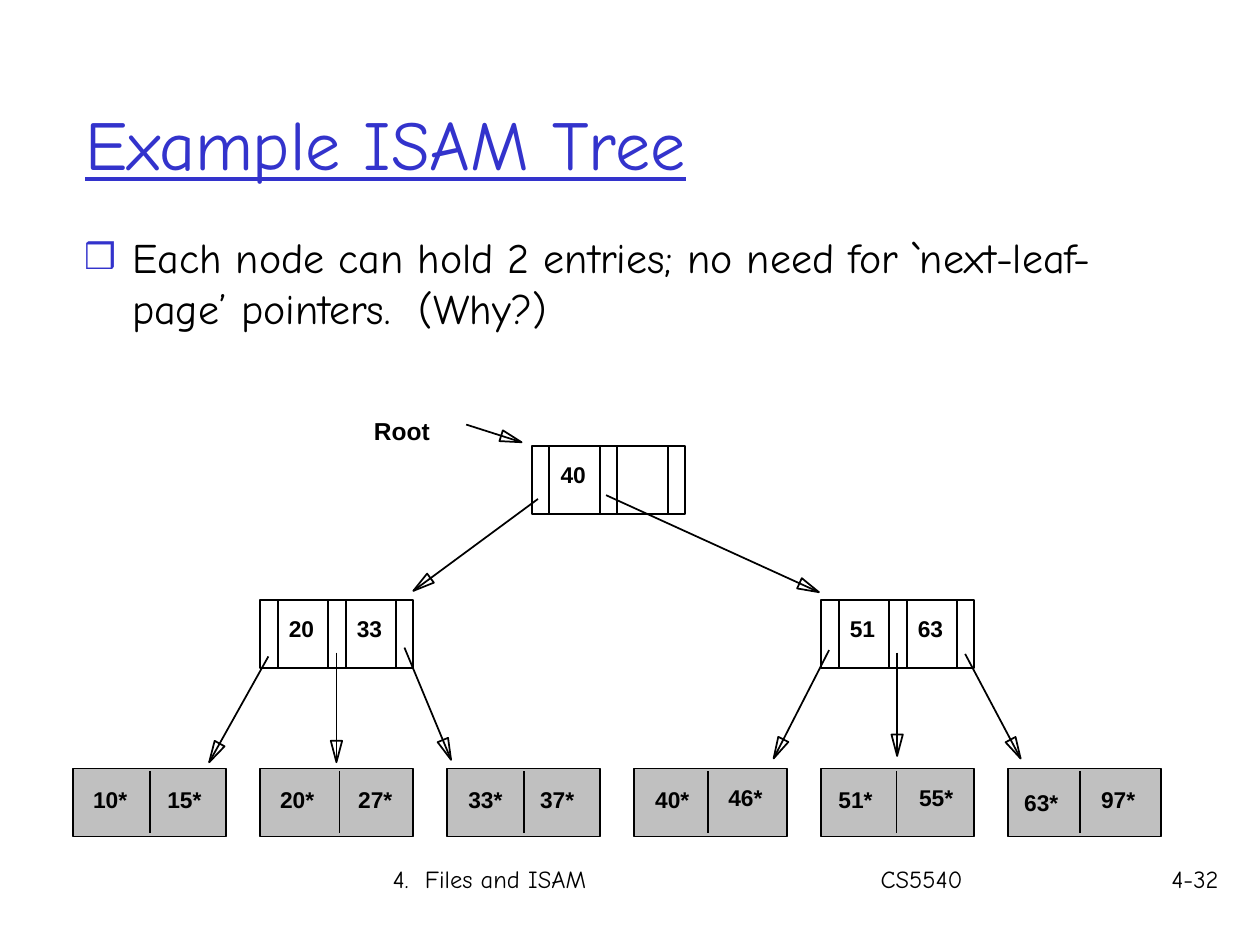
from math import hypot

from lxml.etree import SubElement
from pptx import Presentation
from pptx.dml.color import RGBColor
from pptx.enum.shapes import MSO_CONNECTOR as CONN, MSO_SHAPE as SHAPE
from pptx.enum.text import MSO_ANCHOR as ANCHOR, PP_ALIGN as ALIGN
from pptx.oxml.ns import qn
from pptx.util import Inches, Pt

rgb = RGBColor.from_string
BLACK, BLUE, GREY = "000000", "3333CC", "C0C0C0"
COMIC = {"name": "Comic Neue", "bold": False}
ARIAL = {"name": "Arial", "bold": True}

# Grid: six leaf columns, three tree levels
LEFT, PITCH, NODE_W, NODE_H = 0.58, 1.484, 1.215, 0.54
ROOT_Y, INNER_Y, LEAF_Y = 3.54, 4.76, 6.1
POINTER_W, KEY_W = 0.14, 0.4
LABEL_W, LABEL_H = 0.55, 0.31
HEAD_LEN, HEAD_HALF = 0.17, 0.045

prs = Presentation()
prs.slide_width, prs.slide_height = Inches(10), Inches(7.5)
s = prs.slides.add_slide(prs.slide_layouts[6])


def add_text(text, x, y, w, h, size, font, color=BLACK):
    """Add a one-paragraph text box and return its paragraph."""
    tf = s.shapes.add_textbox(*map(Inches, (x, y, w, h))).text_frame
    tf.word_wrap = True
    p = tf.paragraphs[0]
    r = p.add_run()
    r.text = text
    for name, value in {**font, "size": Pt(size)}.items():
        setattr(r.font, name, value)
    r.font.color.rgb = rgb(color)
    return p


def add_line(x1, y1, x2, y2):
    sp = s.shapes.add_connector(CONN.STRAIGHT, *map(Inches, (x1, y1, x2, y2)))
    sp.line.color.rgb = rgb(BLACK)
    sp.line.width = Pt(1)
    SubElement(sp._element.spPr, qn("a:effectLst"))


# Footer, with a tab stop between topic and course
p = add_text("4.  Files and ISAM\tCS5540", 3.02, 6.81, 5.99, 0.5, 14, COMIC)
tabs = SubElement(p._p.get_or_add_pPr(), qn("a:tabLst"))
SubElement(tabs, qn("a:tab"), pos=str(Inches(3.87)), algn="l")
p = add_text("4-32", 9.03, 6.81, 0.74, 0.5, 14, COMIC)
p.alignment = ALIGN.RIGHT

# Title
p = add_text("Example ISAM Tree", 0.58, 0.51, 8.5, 1.24, 40,
             {**COMIC, "underline": True}, BLUE)
p._parent.vertical_anchor = ANCHOR.MIDDLE

# Bulleted statement
p = add_text("Each node can hold 2 entries; no need for `next-leaf-page’ "
             "pointers.  (Why?)", 0.57, 1.79, 8.53, 1.2, 24, COMIC)
p.space_before = Pt(6)
pPr = p._p.get_or_add_pPr()
pPr.set("marL", str(Inches(0.38)))
pPr.set("indent", str(-Inches(0.38)))
SubElement(SubElement(pPr, qn("a:buClr")), qn("a:srgbClr"), val=BLUE)
SubElement(pPr, qn("a:buSzPct"), val="85000")
SubElement(pPr, qn("a:buFont"), typeface="Arial")
SubElement(pPr, qn("a:buChar"), char="❒")

# Leaf pages: divider offset, then each entry with its offset in the page
leaves = [
    (0.61, ("10*", 0.06, 0.09), ("15*", 0.65, 0.09)),
    (0.63, ("20*", 0.06, 0.09), ("27*", 0.68, 0.09)),
    (0.61, ("33*", 0.07, 0.09), ("37*", 0.64, 0.09)),
    (0.59, ("40*", 0.07, 0.09), ("46*", 0.65, 0.07)),
    (0.6, ("51*", 0.04, 0.09), ("55*", 0.68, 0.07)),
    (0.57, ("63*", 0.03, 0.11), ("97*", 0.64, 0.09)),
]
# Index nodes: left, top, keys
inner_left, inner_right = LEFT + PITCH, LEFT + 4 * PITCH
index_nodes = [
    (4.22, ROOT_Y, ["40"]),
    (inner_left, INNER_Y, ["20", "33"]),
    (inner_right, INNER_Y, ["51", "63"]),
]

boxes = [(LEFT + i * PITCH, LEAF_Y, GREY) for i in range(len(leaves))]
boxes += [(x, y, None) for x, y, _ in index_nodes]
for x, y, fill in boxes:
    sp = s.shapes.add_shape(SHAPE.RECTANGLE, *map(Inches, (x, y, NODE_W, NODE_H)))
    sp.shadow.inherit = False
    sp.line.color.rgb = rgb(BLACK)
    sp.line.width = Pt(1)
    if fill:
        sp.fill.solid()
        sp.fill.fore_color.rgb = rgb(fill)
    else:
        sp.fill.background()

for i, (divider, *entries) in enumerate(leaves):
    x = LEFT + i * PITCH
    add_line(x + divider, LEAF_Y + 0.02, x + divider, LEAF_Y + 0.51)
    for entry, dx, dy in entries:
        add_text(entry, x + dx, LEAF_Y + dy, LABEL_W, LABEL_H, 13, ARIAL)

for x, y, keys in index_nodes:
    for slot in range(2):
        key_x = x + POINTER_W + slot * (POINTER_W + KEY_W)
        for edge in (key_x, key_x + KEY_W):
            add_line(edge, y, edge, y + NODE_H)
        if slot < len(keys):
            add_text(keys[slot], key_x - 0.01, y + 0.07, LABEL_W, LABEL_H, 13, ARIAL)

add_text("Root", 2.87, 3.25, 0.8, 0.33, 14, ARIAL)

# Pointers with open triangular heads: tail, then tip
pointers = [
    (3.7, 3.37, 4.14, 3.51),
    (4.27, 3.96, 3.28, 4.69), (4.81, 3.93, 6.5, 4.7),
    (2.13, 5.21, 1.66, 6.05), (2.67, 5.18, 2.67, 6.05), (3.21, 5.14, 3.58, 6.03),
    (6.58, 5.16, 6.14, 6.02), (7.12, 5.18, 7.12, 6), (7.66, 5.19, 8.1, 6.02),
]
for x1, y1, x2, y2 in pointers:
    add_line(x1, y1, x2, y2)
    length = hypot(x2 - x1, y2 - y1)
    ux, uy = (x2 - x1) / length, (y2 - y1) / length
    base_x, base_y = x2 - HEAD_LEN * ux, y2 - HEAD_LEN * uy
    corners = [(Inches(base_x - side * uy), Inches(base_y + side * ux))
               for side in (-HEAD_HALF, HEAD_HALF)]
    fb = s.shapes.build_freeform(Inches(x2), Inches(y2))
    fb.add_line_segments(corners, close=True)
    sp = fb.convert_to_shape()
    sp.shadow.inherit = False
    sp.fill.background()
    sp.line.color.rgb = rgb(BLACK)
    sp.line.width = Pt(1)

prs.save("out.pptx")
